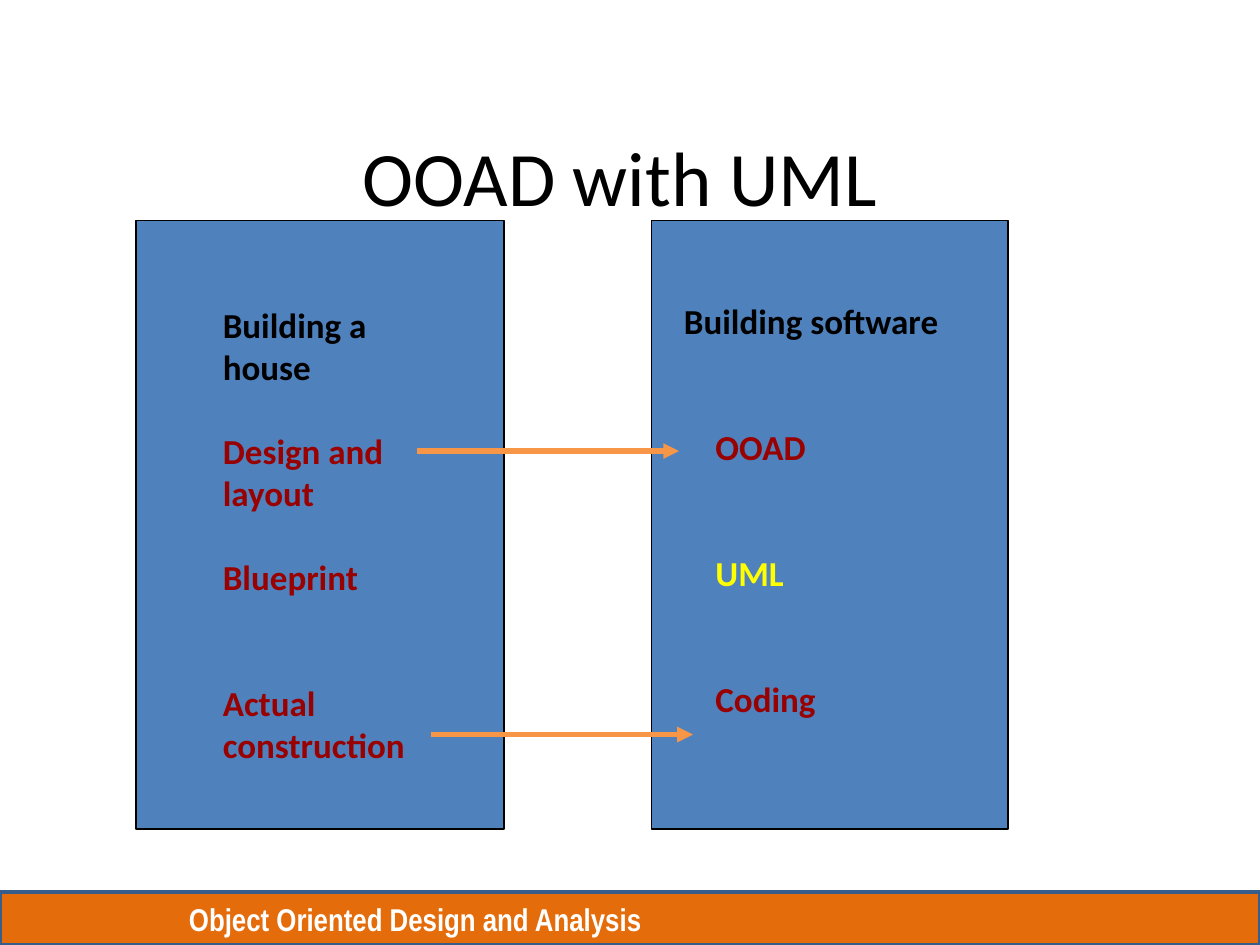
from dataclasses import dataclass
from typing import NamedTuple

from lxml.etree import SubElement
from pptx import Presentation
from pptx.dml.color import RGBColor as RGB
from pptx.enum.shapes import MSO_CONNECTOR as CONNECTOR, MSO_SHAPE as SHAPE
from pptx.enum.text import MSO_ANCHOR as ANCHOR, MSO_AUTO_SIZE as AUTO_SIZE, PP_ALIGN as ALIGN
from pptx.oxml.ns import qn
from pptx.util import Inches, Pt


@dataclass(frozen=True)
class Theme:
    black: RGB = RGB(0x00, 0x00, 0x00)
    white: RGB = RGB(0xFF, 0xFF, 0xFF)
    panel: RGB = RGB(0x4F, 0x81, 0xBD)
    step: RGB = RGB(0x99, 0x00, 0x00)
    highlight: RGB = RGB(0xFF, 0xFF, 0x00)
    arrow: RGB = RGB(0xF7, 0x96, 0x46)
    footer: RGB = RGB(0xE4, 0x6C, 0x0A)
    footer_edge: RGB = RGB(0x38, 0x5D, 0x8A)
    font: str = "Calibri"
    footer_font: str = "Arial Narrow"
    title_size: int = 44
    body_size: int = 20
    footer_size: int = 18


THEME = Theme()
LINE = 24  # height of one body line, in points


class Box(NamedTuple):
    left: float
    top: float
    width: float
    height: float

    def lengths(self) -> list:
        return [Inches(value) for value in self]


class Entry(NamedTuple):
    text: str
    color: RGB = THEME.step
    lines_before: int = 0
    indent: float = 0


class Column(NamedTuple):
    panel: Box
    body: Box
    entries: list


class Arrow(NamedTuple):
    left: float
    right: float
    y: float


COLUMNS = [
    Column(Box(1.08, 1.75, 2.92, 4.83), Box(1.67, 2.36, 1.92, 3.77), [
        Entry("Building a house", THEME.black),
        Entry("Design and layout", lines_before=1),
        Entry("Blueprint", lines_before=1),
        Entry("Actual construction", lines_before=2),
    ]),
    Column(Box(5.17, 1.75, 2.83, 4.83), Box(5.33, 2.33, 2.3, 3.77), [
        Entry("Building software", THEME.black),
        Entry("OOAD", lines_before=2, indent=0.25),
        Entry("UML", THEME.highlight, lines_before=2, indent=0.25),
        Entry("Coding", lines_before=2, indent=0.25),
    ]),
]
ARROWS = [Arrow(3.31, 5.39, 3.58), Arrow(3.42, 5.5, 5.83)]


def write(paragraph, text: str, *, color: RGB, size: int, font: str = THEME.font,
          bold: bool = True, align=ALIGN.LEFT, before: int = 0, indent: float = 0) -> None:
    if indent:
        paragraph._p.get_or_add_pPr().set("marL", str(Inches(indent)))
    paragraph.alignment = align
    paragraph.space_before = Pt(before)
    run = paragraph.add_run()
    run.text = text
    run.font.name, run.font.size, run.font.bold = font, Pt(size), bold
    run.font.color.rgb = color


def add_rectangle(slide, box: Box, fill: RGB, edge: RGB, edge_width: float):
    rectangle = slide.shapes.add_shape(SHAPE.RECTANGLE, *box.lengths())
    rectangle.shadow.inherit = False
    rectangle.fill.solid()
    rectangle.fill.fore_color.rgb = fill
    rectangle.line.color.rgb = edge
    rectangle.line.width = Pt(edge_width)
    return rectangle


def add_entries(slide, column: Column) -> None:
    frame = slide.shapes.add_textbox(*column.body.lengths()).text_frame
    frame.word_wrap = True
    frame.auto_size = AUTO_SIZE.SHAPE_TO_FIT_TEXT
    for index, entry in enumerate(column.entries):
        paragraph = frame.add_paragraph() if index else frame.paragraphs[0]
        write(paragraph, entry.text, color=entry.color, size=THEME.body_size,
              before=entry.lines_before * LINE, indent=entry.indent)


def add_arrow(slide, arrow: Arrow) -> None:
    y = Inches(arrow.y)
    connector = slide.shapes.add_connector(
        CONNECTOR.STRAIGHT, Inches(arrow.left), y, Inches(arrow.right), y)
    connector.line.color.rgb = THEME.arrow
    connector.line.width = Pt(3)
    SubElement(connector.line._get_or_add_ln(), qn("a:tailEnd"), type="triangle")
    SubElement(connector._element.spPr, qn("a:effectLst"))


def add_footer(slide) -> None:
    footer = add_rectangle(slide, Box(0, 7.08, 10, 0.42), THEME.footer, THEME.footer_edge, 2)
    frame = footer.text_frame
    frame.vertical_anchor = ANCHOR.MIDDLE
    frame.margin_left = Inches(1.5)
    write(frame.paragraphs[0], "Object Oriented Design and Analysis", color=THEME.white,
          size=THEME.footer_size, font=THEME.footer_font)


def set_title(slide) -> None:
    title = slide.shapes.title
    title.left, title.top, title.width, title.height = Box(0.42, 0.67, 9, 0.75).lengths()
    frame = title.text_frame
    frame.auto_size = AUTO_SIZE.NONE
    frame.vertical_anchor = ANCHOR.MIDDLE
    # The title sits low, just above the panels
    frame.margin_top, frame.margin_bottom = Inches(0.7), 0
    write(frame.paragraphs[0], "OOAD with UML", color=THEME.black,
          size=THEME.title_size, bold=False, align=ALIGN.CENTER)


def main() -> None:
    deck = Presentation()
    deck.slide_width, deck.slide_height = Inches(10), Inches(7.5)
    slide = deck.slides.add_slide(deck.slide_layouts[5])

    # Footer band and title
    add_footer(slide)
    set_title(slide)

    # House and software panels, then their entries
    for column in COLUMNS:
        add_rectangle(slide, column.panel, THEME.panel, THEME.black, 0.75)
    for column in COLUMNS:
        add_entries(slide, column)

    # Arrows from house steps to software steps
    for arrow in ARROWS:
        add_arrow(slide, arrow)

    deck.save("out.pptx")


if __name__ == "__main__":
    main()
